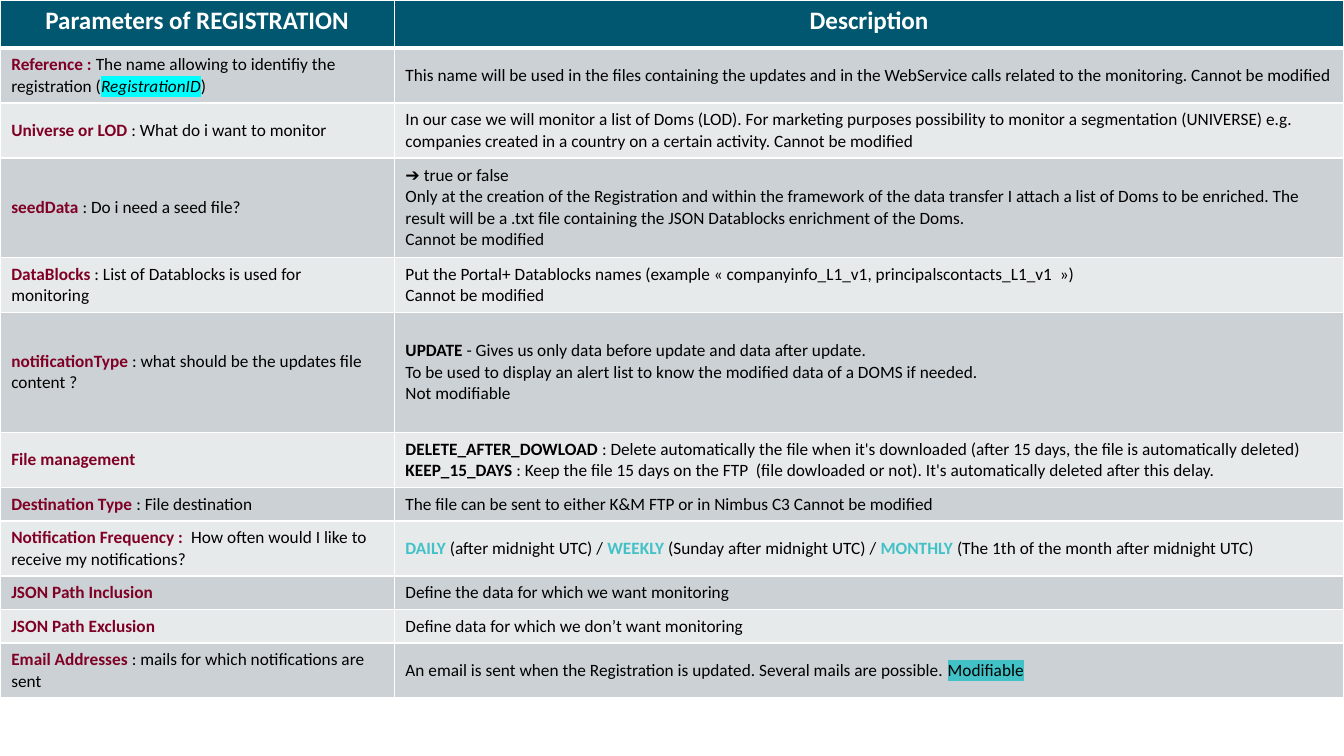
from lxml import etree
from pptx import Presentation
from pptx.dml.color import RGBColor
from pptx.enum.text import MSO_ANCHOR, PP_ALIGN
from pptx.oxml.ns import qn
from pptx.util import Pt

MIDDLE, TOP = MSO_ANCHOR.MIDDLE, MSO_ANCHOR.TOP
CENTER, LEFT = PP_ALIGN.CENTER, PP_ALIGN.LEFT

WHITE = RGBColor(0xFF, 0xFF, 0xFF)
BLACK = RGBColor(0x00, 0x00, 0x00)
PETROL = RGBColor(0x00, 0x57, 0x6F)
BURGUNDY = RGBColor(0x80, 0x00, 0x25)
TURQUOISE = RGBColor(0x42, 0xC1, 0xC6)
CYAN = RGBColor(0x00, 0xFF, 0xFF)
DARK_BAND = RGBColor(0xCC, 0xD1, 0xD5)
LIGHT_BAND = RGBColor(0xE7, 0xEA, 0xEB)

SLIDE_WIDTH, SLIDE_HEIGHT = 856.8, 481.7
PARAMETER_WIDTH = 251.3
HEADER_HEIGHT, ONE_LINE, TWO_LINES = 30.6, 21.4, 35.1

# Each style: font values, text colour, highlight colour
STYLES = {
    "header": ({"size": Pt(16), "bold": True}, WHITE, None),
    "plain": ({"size": Pt(11), "bold": False}, BLACK, None),
    "strong": ({"size": Pt(11), "bold": True}, BLACK, None),
    "name": ({"size": Pt(11), "bold": True}, BURGUNDY, None),
    "frequency": ({"size": Pt(11), "bold": True}, TURQUOISE, None),
    "identifier": ({"size": Pt(11), "bold": False, "italic": True}, BLACK, CYAN),
    "marked": ({"size": Pt(11), "bold": False}, BLACK, TURQUOISE),
}

HEADERS = ("Parameters of REGISTRATION", "Description")

# Each row: height, runs of the parameter, paragraphs of the description.
# A run is plain text or a (text, style) pair.
ROWS = [
    (TWO_LINES,
     [("Reference : ", "name"), "The name allowing to identifiy the registration (",
      ("RegistrationID", "identifier"), ")"],
     [["This name will be used in the files containing the updates and in the "
       "WebService calls related to the monitoring. Cannot be modified"]]),
    (TWO_LINES,
     [("Universe or LOD ", "name"), ": What do i want to monitor"],
     [["In our case we will monitor a list of Doms (LOD). For marketing purposes "
       "possibility to monitor a segmentation (UNIVERSE) e.g. companies created "
       "in a country on a certain activity. Cannot be modified"]]),
    (63.1,
     [("seedData", "name"), " : Do i need a seed file?"],
     [["➔ true or false"],
      ["Only at the creation of the Registration and within the framework of the "
       "data transfer I attach a list of Doms to be enriched. The result will be a "
       ".txt file containing the JSON Datablocks enrichment of the Doms."],
      ["Cannot be modified"]]),
    (TWO_LINES,
     [("DataBlocks", "name"), " : List of Datablocks is used for monitoring"],
     [["Put the Portal+ Datablocks names (example « companyinfo_L1_v1, "
       "principalscontacts_L1_v1  »)"],
      ["Cannot be modified"]]),
    (76.5,
     [("notificationType", "name"), " : what should be the updates file content ?"],
     [[("UPDATE", "strong"), " - Gives us only data before update and data after update."],
      ["To be used to display an alert list to know the modified data of a DOMS if needed."],
      ["Not modifiable"]]),
    (TWO_LINES,
     [("File management", "name")],
     [[("DELETE_AFTER_DOWLOAD ", "strong"),
       ": Delete automatically the file when it's downloaded (after 15 days, "
       "the file is automatically deleted)"],
      [("KEEP_15_DAYS ", "strong"),
       ": Keep the file 15 days on the FTP  (file dowloaded or not). "
       "It's automatically deleted after this delay."]]),
    (ONE_LINE,
     [("Destination Type ", "name"), ": File destination"],
     [["The file can be sent to either K&M FTP or in Nimbus C3 Cannot be modified"]]),
    (TWO_LINES,
     [("Notification Frequency :  ", "name"),
      "How often would I like to receive my notifications?"],
     [[("DAILY ", "frequency"), "(after midnight UTC) / ",
       ("WEEKLY ", "frequency"), "(Sunday after midnight UTC) / ",
       ("MONTHLY ", "frequency"), "(The 1th of the month after midnight UTC)"]]),
    (ONE_LINE,
     [("JSON Path Inclusion", "name")],
     [["Define the data for which we want monitoring"]]),
    (ONE_LINE,
     [("JSON Path Exclusion", "name")],
     [["Define data for which we don’t want monitoring"]]),
    (TWO_LINES,
     [("Email Addresses ", "name"), ": mails for which notifications are sent"],
     [["An email is sent when the Registration is updated. Several mails are possible. ",
       ("Modifiable", "marked")]]),
]


def add_solid_fill(parent, color):
    fill = etree.SubElement(parent, qn("a:solidFill"))
    etree.SubElement(fill, qn("a:srgbClr"), val=str(color))


def set_borders(cell, bottom_width):
    properties = cell._tc.get_or_add_tcPr()
    for side, width in (("L", 1), ("R", 1), ("T", 1), ("B", bottom_width)):
        line = etree.SubElement(properties, qn(f"a:ln{side}"), w=str(Pt(width)))
        add_solid_fill(line, WHITE)


def add_run(paragraph, text, style):
    values, color, highlight = STYLES[style]
    run = paragraph.add_run()
    run.text = text
    for name, value in values.items():
        setattr(run.font, name, value)
    run.font.color.rgb = color
    if highlight is not None:
        properties = run._r.get_or_add_rPr()
        element = etree.Element(qn("a:highlight"))
        etree.SubElement(element, qn("a:srgbClr"), val=str(highlight))
        properties.find(qn("a:solidFill")).addnext(element)
    run.font.name = "Calibri"


def fill_cell(cell, paragraphs, color, anchor=MIDDLE, alignment=LEFT, bottom_width=1):
    set_borders(cell, bottom_width)
    cell.fill.solid()
    cell.fill.fore_color.rgb = color
    cell.vertical_anchor = anchor
    for index, runs in enumerate(paragraphs):
        frame = cell.text_frame
        paragraph = frame.add_paragraph() if index else frame.paragraphs[0]
        paragraph.alignment = alignment
        for run in runs:
            text, style = (run, "plain") if isinstance(run, str) else run
            add_run(paragraph, text, style)


def add_parameter_table(slide, left, top, width):
    heights = [HEADER_HEIGHT] + [row[0] for row in ROWS]
    table = slide.shapes.add_table(len(heights), 2, Pt(left), Pt(top),
                                   Pt(width), Pt(sum(heights))).table
    table.columns[0].width = Pt(PARAMETER_WIDTH)
    table.columns[1].width = Pt(width - PARAMETER_WIDTH)
    for row, height in zip(table.rows, heights):
        row.height = Pt(height)
    for column, header in enumerate(HEADERS):
        fill_cell(table.cell(0, column), [[(header, "header")]], PETROL, TOP, CENTER, 3)
    for index, (_, parameter, description) in enumerate(ROWS, start=1):
        band = DARK_BAND if index % 2 else LIGHT_BAND
        fill_cell(table.cell(index, 0), [parameter], band)
        fill_cell(table.cell(index, 1), description, band)


def main():
    presentation = Presentation()
    presentation.slide_width = Pt(SLIDE_WIDTH)
    presentation.slide_height = Pt(SLIDE_HEIGHT)
    slide = presentation.slides.add_slide(presentation.slide_layouts[6])
    add_parameter_table(slide, 0, 0, SLIDE_WIDTH)
    presentation.save("out.pptx")


if __name__ == "__main__":
    main()
